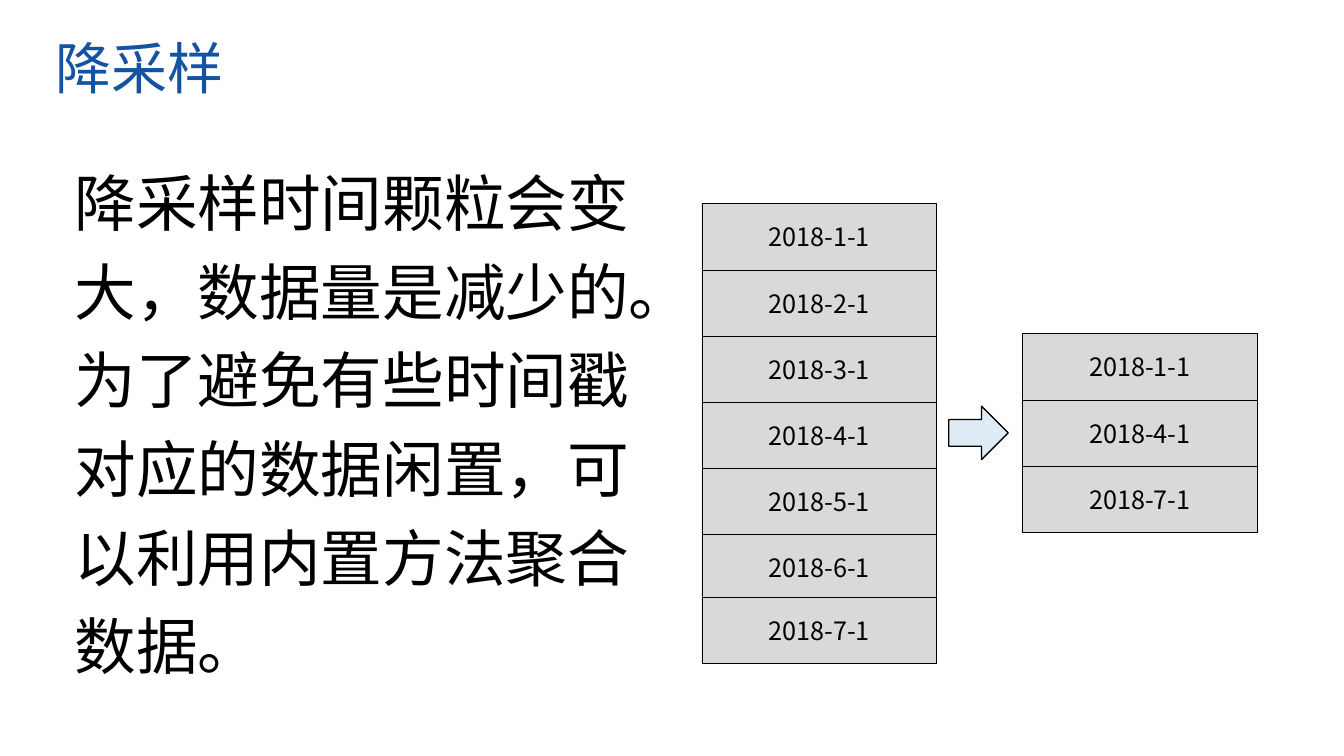
from pptx import Presentation
from pptx.dml.color import RGBColor as RGB
from pptx.enum.shapes import MSO_SHAPE as Kind
from pptx.enum.text import MSO_ANCHOR as Anchor, MSO_AUTO_SIZE as Fit, PP_ALIGN as Align
from pptx.oxml.ns import qn
from pptx.util import Inches, Pt
from lxml.etree import SubElement

theme = {
    "font": "Noto Sans CJK SC",
    "title": {"size": Pt(40), "color": RGB(0x13, 0x53, 0xA2)},
    "body": {"size": Pt(44), "color": RGB(0, 0, 0)},
    "cell": {"size": Pt(18), "color": RGB(0, 0, 0)},
    "grey": RGB(0xD9, 0xD9, 0xD9),
    "blue": RGB(0xDE, 0xEB, 0xF7),
    "line": RGB(0, 0, 0),
}


def write(shape, text, style, frame, para):
    """Put one formatted paragraph into a shape."""
    box = shape.text_frame
    for key, value in frame.items():
        setattr(box, key, value)
    part = box.paragraphs[0]
    for key, value in para.items():
        setattr(part, key, value)
    run = part.add_run()
    run.text = text
    run.font.name = theme["font"]
    run.font.size = theme[style]["size"]
    run.font.color.rgb = theme[style]["color"]
    SubElement(run.font._element, qn("a:ea"), typeface=theme["font"])


def draw(kind, place, fill, width):
    """Add a flat shape with a thin outline."""
    shape = slide.shapes.add_shape(kind, *map(Inches, place))
    shape.shadow.inherit = False
    shape.fill.solid()
    shape.fill.fore_color.rgb = theme[fill]
    shape.line.color.rgb = theme["line"]
    shape.line.width = Pt(width)
    return shape


deck = Presentation()
deck.slide_width, deck.slide_height = Inches(13.33), Inches(7.5)
slide = deck.slides.add_slide(deck.slide_layouts[5])
flow = {"word_wrap": True, "auto_size": Fit.SHAPE_TO_FIT_TEXT, "vertical_anchor": Anchor.TOP}

# Title
title = slide.shapes.title
place = {"left": 0.45, "top": 0.28, "width": 9.44, "height": 0.77}
for key, value in place.items():
    setattr(title, key, Inches(value))
write(title, "降采样", "title", flow, {"alignment": Align.LEFT})

# Explanation
body = slide.shapes.add_textbox(Inches(0.64), Inches(1.44), Inches(6.05), Inches(5.43))
words = "降采样时间颗粒会变大，数据量是减少的。为了避免有些时间戳对应的数据闲置，可以利用内置方法聚合数据。"
write(body, words, "body", flow, {"line_spacing": 1.2})

# Monthly dates on the left, quarterly dates on the right
step = 0.656
stacks = [
    (6.96, [(month, 2.02 + step * (month - 1)) for month in range(1, 7)] + [(7, 5.92)]),
    (10.14, [(month, 3.31 + step * row) for row, month in enumerate((1, 4, 7))]),
]
for left, cells in stacks:
    for month, top in cells:
        cell = draw(Kind.RECTANGLE, (left, top, 2.33, 0.66), "grey", 0.25)
        write(cell, f"2018-{month}-1", "cell",
              {"vertical_anchor": Anchor.MIDDLE}, {"alignment": Align.CENTER})

# Arrow between the stacks
draw(Kind.RIGHT_ARROW, (9.41, 4.03, 0.59, 0.53), "blue", 1)

deck.save("out.pptx")
